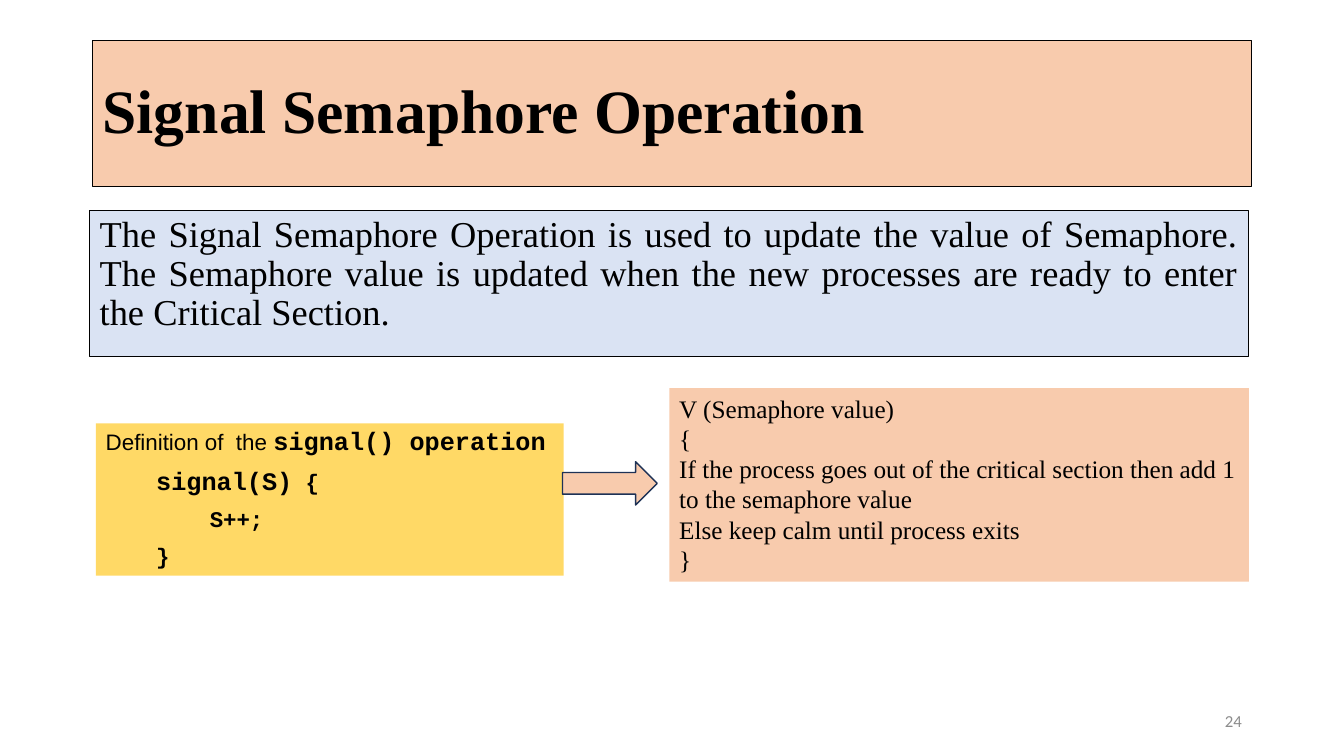
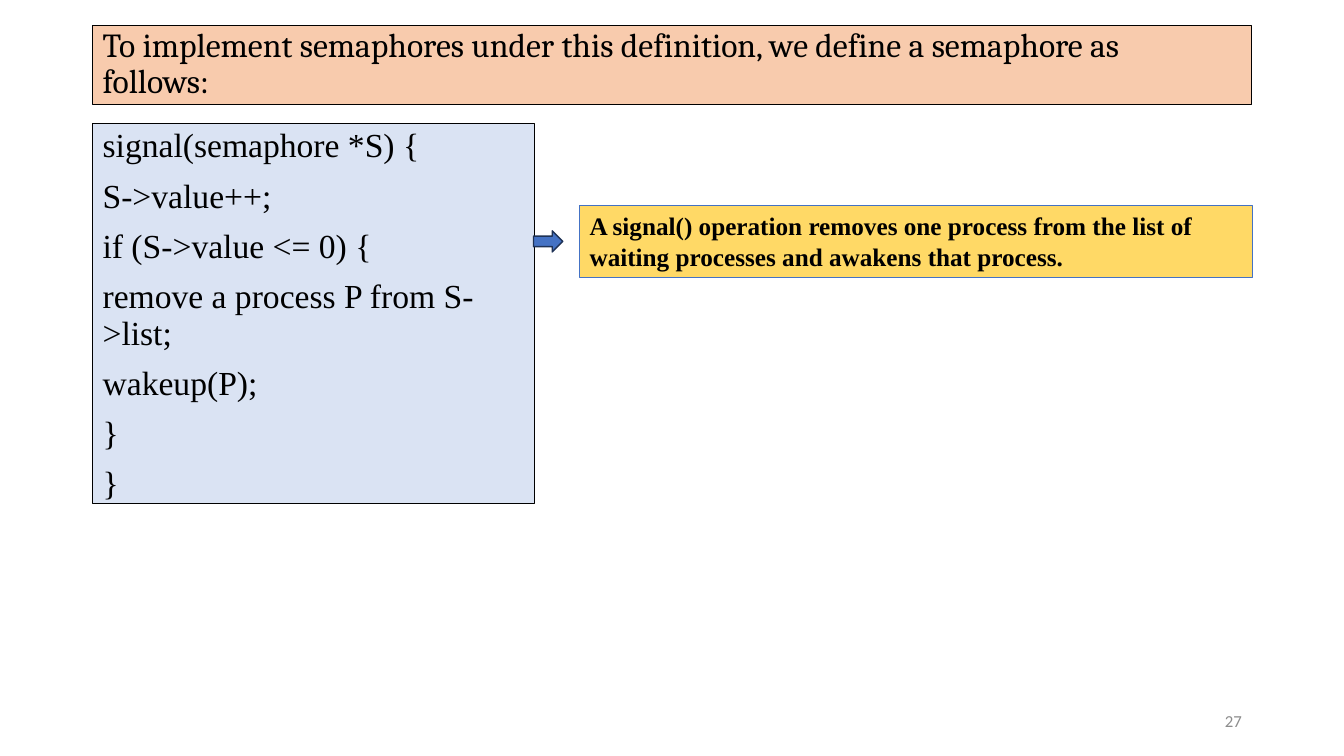
from dataclasses import dataclass
from typing import Optional

from pptx import Presentation, util as u
from pptx.dml.color import RGBColor
from pptx.enum import shapes, text

SLIDE_W, SLIDE_H = 13.33, 7.5
COLORS = {
    "peach": "F8CBAD", "ice": "DAE3F3", "gold": "FFD966", "blue": "4472C4",
    "navy": "1E3256", "black": "000000", "gray": "8C8C8C",
}
SERIF, SANS, MONO = "Times New Roman", "Arial", "Courier New"
LEFT, WIDTH = 6.9, 86.25
TIGHT = 0.9


@dataclass(frozen=True)
class Area:
    """Left, top, width and height in percent of the slide's size."""
    left: float
    top: float
    width: float
    height: float

    def emu(self) -> tuple:
        return (u.Inches(self.left * SLIDE_W / 100), u.Inches(self.top * SLIDE_H / 100),
                u.Inches(self.width * SLIDE_W / 100), u.Inches(self.height * SLIDE_H / 100))


@dataclass(frozen=True)
class Style:
    size: float = 18
    font: str = SERIF
    bold: bool = False
    color: str = "black"


@dataclass(frozen=True)
class Span:
    text: str
    style: Style


@dataclass(frozen=True)
class Line:
    spans: tuple
    indent: float = 0
    spacing: float = 1.0


@dataclass(frozen=True)
class Box:
    area: Area
    lines: list
    fill: Optional[str] = None
    outline: Optional[str] = None
    before: float = 0
    align: text.PP_ALIGN = text.PP_ALIGN.LEFT
    anchor: text.MSO_ANCHOR = text.MSO_ANCHOR.TOP


@dataclass(frozen=True)
class Arrow:
    area: Area
    fill: str


def rgb(name: str) -> RGBColor:
    return RGBColor.from_string(COLORS[name])


def plain_lines(style: Style, *texts: str, spacing: float = 1.0) -> list:
    return [Line((Span(t, style),), spacing=spacing) for t in texts]


def title_box(area: Area, title: str, style: Style) -> Box:
    return Box(area, plain_lines(style, title, spacing=TIGHT), "peach", "black",
               anchor=text.MSO_ANCHOR.MIDDLE)


def number_box(number: int) -> Box:
    style = Style(12, "Calibri", color="gray")
    return Box(Area(70.65, 92.67, 22.5, 5.33), plain_lines(style, str(number)),
               align=text.PP_ALIGN.RIGHT, anchor=text.MSO_ANCHOR.MIDDLE)


def paint(sp, fill: Optional[str], outline: Optional[str], weight: float) -> None:
    sp.shadow.inherit = False
    if fill:
        sp.fill.solid()
        sp.fill.fore_color.rgb = rgb(fill)
    if outline:
        sp.line.color.rgb = rgb(outline)
        sp.line.width = u.Pt(weight)
    else:
        sp.line.fill.background()


def draw_box(s, box: Box) -> None:
    if box.fill:
        sp = s.shapes.add_shape(shapes.MSO_SHAPE.RECTANGLE, *box.area.emu())
        paint(sp, box.fill, box.outline, 0.75)
    else:
        sp = s.shapes.add_textbox(*box.area.emu())
    tf = sp.text_frame
    tf.word_wrap = True
    tf.vertical_anchor = box.anchor
    for i, line in enumerate(box.lines):
        p = tf.add_paragraph() if i else tf.paragraphs[0]
        if line.indent:
            p._p.get_or_add_pPr().set("marL", str(u.Inches(line.indent)))
        p.alignment = box.align
        p.line_spacing = line.spacing
        p.space_before = u.Pt(box.before if i else 0)
        for span in line.spans:
            write_span(p, span)


def write_span(p, span: Span) -> None:
    """Add the span to the paragraph; a vertical tab becomes a line break."""
    for i, part in enumerate(span.text.split("\v")):
        if i:
            p.add_line_break()
        r = p.add_run()
        r.text = part
        r.font.size = u.Pt(span.style.size)
        r.font.name = span.style.font
        r.font.bold = span.style.bold
        r.font.color.rgb = rgb(span.style.color)


def draw_arrow(s, arrow: Arrow) -> None:
    sp = s.shapes.add_shape(shapes.MSO_SHAPE.RIGHT_ARROW, *arrow.area.emu())
    paint(sp, arrow.fill, "navy", 1)


def add_slide(prs, boxes: list, arrow: Arrow, number: int) -> None:
    s = prs.slides.add_slide(prs.slide_layouts[6])
    for box in boxes:
        draw_box(s, box)
    draw_arrow(s, arrow)
    draw_box(s, number_box(number))


def signal_operation(prs) -> None:
    code, small_code = Style(18, MONO, True), Style(16, MONO, True)
    definition = [
        Line((Span("Definition of  the ", Style(16, SANS)),
              Span("signal() operation", code)), spacing=TIGHT),
        Line((Span("signal(S)", code), Span(" {", small_code)), indent=0.5),
        Line((Span("    S++;", small_code),), indent=0.5),
        Line((Span("}", small_code),), indent=0.5),
    ]
    steps = plain_lines(
        Style(), "V (Semaphore value)", "{",
        "If the process goes out of the critical section then add 1 to the semaphore value",
        "Else keep calm until process exits", "}")
    purpose = plain_lines(
        Style(26),
        "The Signal Semaphore Operation is used to update the value of Semaphore. "
        "The Semaphore value is updated when the new processes are ready to enter "
        "the Critical Section.", spacing=TIGHT)
    add_slide(prs, [
        title_box(Area(LEFT, 5.33, WIDTH, 19.33), "Signal Semaphore Operation",
                  Style(44, bold=True)),
        Box(Area(6.68, 27.87, WIDTH, 19.33), purpose, "ice", "black",
            align=text.PP_ALIGN.JUSTIFY),
        Box(Area(7.13, 56, 34.8, 20.13), definition, "gold", before=7),
        Box(Area(49.8, 51.33, 43.13, 25.6), steps, "peach"),
    ], Arrow(Area(41.85, 61.07, 7.05, 5.73), "peach"), 24)


def signal_implementation(prs) -> None:
    code = plain_lines(
        Style(24), "signal(semaphore *S) {", "S->value++;", "if (S->value <= 0) {",
        "remove a process P from S->list;", "wakeup(P);", "}", "}", spacing=TIGHT)
    note = plain_lines(
        Style(bold=True),
        "A signal() operation removes one process from the list of waiting processes "
        "and awakens that process.")
    add_slide(prs, [
        title_box(Area(LEFT, 3.33, WIDTH, 10.53),
                  "To implement semaphores under this definition, "
                  "we define a semaphore as\vfollows:", Style(24, "Cambria")),
        Box(Area(LEFT, 16.4, 32.85, 50.27), code, "ice", "black", before=10),
        Box(Area(43.13, 27.2, 50.03, 9.47), note, "gold", "blue"),
    ], Arrow(Area(39.7, 30.53, 2.18, 2.8), "blue"), 27)


def main() -> None:
    prs = Presentation()
    prs.slide_width, prs.slide_height = u.Inches(SLIDE_W), u.Inches(SLIDE_H)
    signal_operation(prs)
    signal_implementation(prs)
    prs.save("out.pptx")


if __name__ == "__main__":
    main()
